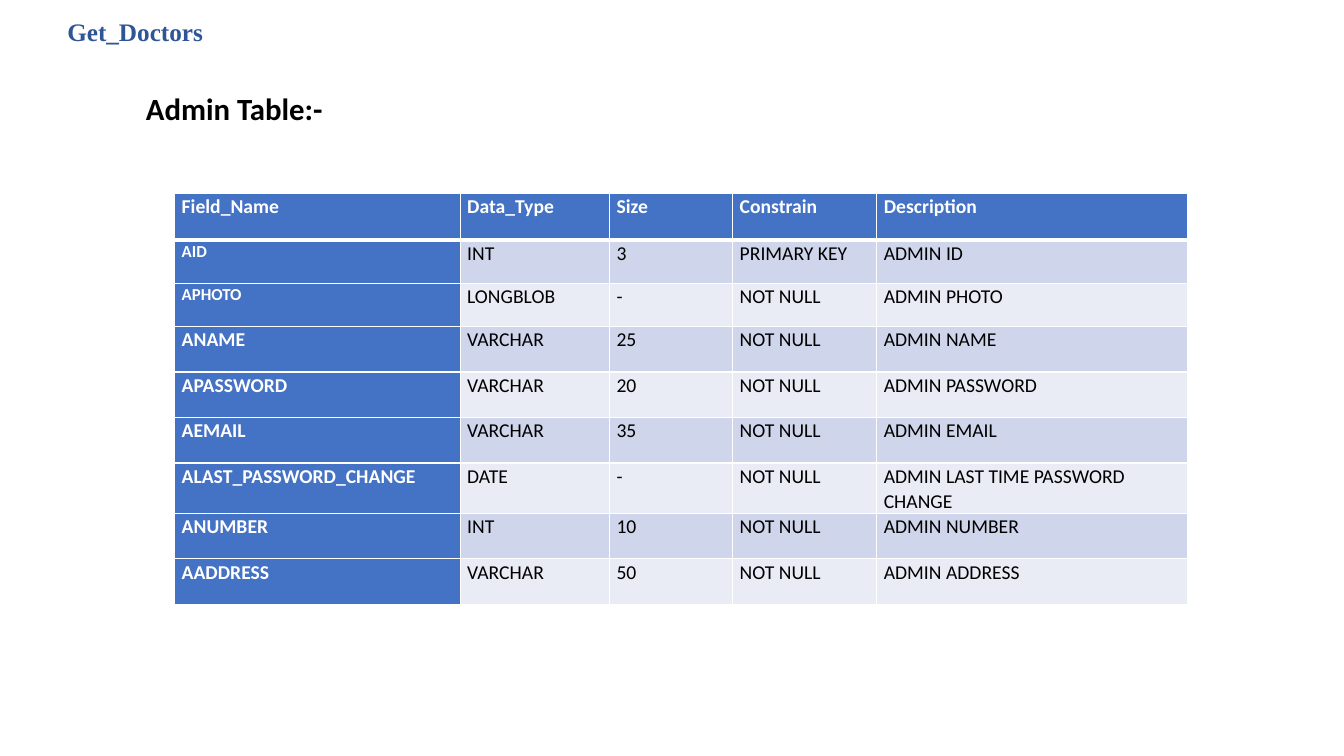
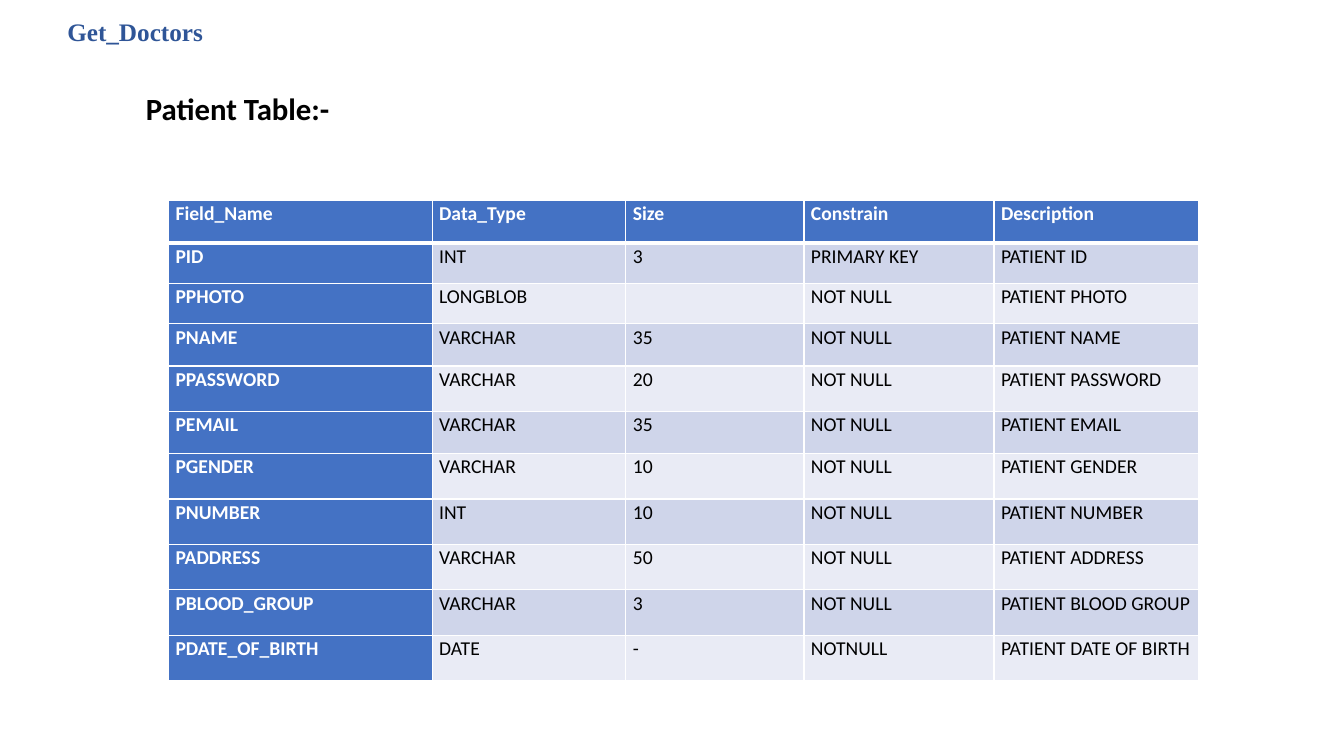
"""Build two slides that describe the Admin and Patient database tables."""
import dataclasses

import lxml.etree
import pptx
import pptx.dml.color
import pptx.enum.text
import pptx.oxml.ns
import pptx.util

Pt = pptx.util.Pt
RGBColor = pptx.dml.color.RGBColor
JUSTIFY = pptx.enum.text.PP_ALIGN.JUSTIFY
LEFT = pptx.enum.text.PP_ALIGN.LEFT


@dataclasses.dataclass(frozen=True)
class Theme:
    body_font: str = "Calibri"
    brand_font: str = "Times New Roman"
    brand: str = "2F5597"
    ink: str = "000000"
    white: str = "FFFFFF"
    key: str = "4472C4"
    bands: tuple = ("CFD5EA", "E9EBF5")
    brand_size: int = 18
    heading_size: int = 22
    cell_size: int = 14
    small_size: int = 12


theme = Theme()


def write_text(frame, text, *, size, color, font=theme.body_font, bold=False,
               align=LEFT, line_spacing=None, space_after=None):
    frame.word_wrap = True
    paragraph = frame.paragraphs[0]
    paragraph.alignment = align
    paragraph.line_spacing = line_spacing
    paragraph.space_after = space_after
    run = paragraph.add_run()
    run.text = text
    run.font.name = font
    run.font.size = Pt(size)
    run.font.bold = bold
    run.font.color.rgb = RGBColor.from_string(color)


def draw_border(cell, side, width):
    properties = cell._tc.get_or_add_tcPr()
    qn = pptx.oxml.ns.qn
    line = lxml.etree.SubElement(properties, qn(f"a:ln{side}"), w=str(Pt(width)))
    fill = lxml.etree.SubElement(line, qn("a:solidFill"))
    lxml.etree.SubElement(fill, qn("a:srgbClr"), val=theme.white)


columns = ("Field_Name", "Data_Type", "Size", "Constrain", "Description")
small_fields = ("AID", "APHOTO")
wrapped_description = "ADMIN LAST TIME PASSWORD CHANGE"

entities = [
    {
        "heading": "Admin Table:-",
        "origin": (124.8, 137.8),
        "widths": (203.9, 106.7, 88, 102.9, 222.3),
        "heights": (33.5, 31, 31) + (32.5,) * 6,
        "fields": [
            ("AID", "INT", "3", "PRIMARY KEY", "ADMIN ID"),
            ("APHOTO", "LONGBLOB", "-", "NOT NULL", "ADMIN PHOTO"),
            ("ANAME", "VARCHAR", "25", "NOT NULL", "ADMIN NAME"),
            ("APASSWORD", "VARCHAR", "20", "NOT NULL", "ADMIN PASSWORD"),
            ("AEMAIL", "VARCHAR", "35", "NOT NULL", "ADMIN EMAIL"),
            ("ALAST_PASSWORD_CHANGE", "DATE", "-", "NOT NULL", wrapped_description),
            ("ANUMBER", "INT", "10", "NOT NULL", "ADMIN NUMBER"),
            ("AADDRESS", "VARCHAR", "50", "NOT NULL", "ADMIN ADDRESS"),
        ],
    },
    {
        "heading": "Patient Table:-",
        "origin": (120.4, 142.9),
        "widths": (188.3, 138.4, 127.2, 135.8, 146.2),
        "heights": (30.8, 28.8, 28.8, 30.2, 32.4, 30.2) + (32.4,) * 5,
        "fields": [
            ("PID", "INT", "3", "PRIMARY KEY", "PATIENT ID"),
            ("PPHOTO", "LONGBLOB", "", "NOT NULL", "PATIENT PHOTO"),
            ("PNAME", "VARCHAR", "35", "NOT NULL", "PATIENT NAME"),
            ("PPASSWORD", "VARCHAR", "20", "NOT NULL", "PATIENT PASSWORD"),
            ("PEMAIL", "VARCHAR", "35", "NOT NULL", "PATIENT EMAIL"),
            ("PGENDER", "VARCHAR", "10", "NOT NULL", "PATIENT GENDER"),
            ("PNUMBER", "INT", "10", "NOT NULL", "PATIENT NUMBER"),
            ("PADDRESS", "VARCHAR", "50", "NOT NULL", "PATIENT ADDRESS"),
            ("PBLOOD_GROUP", "VARCHAR", "3", "NOT NULL", "PATIENT BLOOD GROUP"),
            ("PDATE_OF_BIRTH", "DATE", "-", "NOTNULL", "PATIENT DATE OF BIRTH"),
        ],
    },
]

deck = pptx.Presentation()
deck.slide_width = Pt(960)
deck.slide_height = Pt(540)

for entity in entities:
    slide = deck.slides.add_slide(deck.slide_layouts[6])

    brand = slide.shapes.add_textbox(Pt(41), Pt(8), Pt(167), Pt(29))
    write_text(brand.text_frame, "Get_Doctors", size=theme.brand_size,
               color=theme.brand, font=theme.brand_font, bold=True)

    heading = slide.shapes.add_textbox(Pt(97.2), Pt(60.5), Pt(278.6), Pt(34))
    write_text(heading.text_frame, entity["heading"], size=theme.heading_size,
               color=theme.ink, bold=True)

    records = [columns] + entity["fields"]
    left, top = entity["origin"]
    schema = slide.shapes.add_table(
        len(records), len(columns), Pt(left), Pt(top),
        Pt(sum(entity["widths"])), Pt(sum(entity["heights"]))).table
    schema.horz_banding = False
    for column, width in zip(schema.columns, entity["widths"]):
        column.width = Pt(width)
    for row, height in zip(schema.rows, entity["heights"]):
        row.height = Pt(height)

    for row_index, record in enumerate(records):
        for column_index, value in enumerate(record):
            cell = schema.cell(row_index, column_index)
            is_key = row_index == 0 or column_index == 0
            cell.margin_left = cell.margin_right = Pt(5)
            cell.margin_top = cell.margin_bottom = Pt(0)
            for side in "LRTB":
                under_header = (row_index, side) in ((0, "B"), (1, "T"))
                draw_border(cell, side, 3 if under_header else 1)
            cell.fill.solid()
            cell.fill.fore_color.rgb = RGBColor.from_string(
                theme.key if is_key else theme.bands[(row_index - 1) % 2])
            write_text(
                cell.text_frame, value,
                size=theme.small_size if value in small_fields else theme.cell_size,
                color=theme.white if is_key else theme.ink, bold=is_key,
                align=LEFT if value == wrapped_description else JUSTIFY,
                line_spacing=1.07, space_after=Pt(8))

deck.save("out.pptx")
